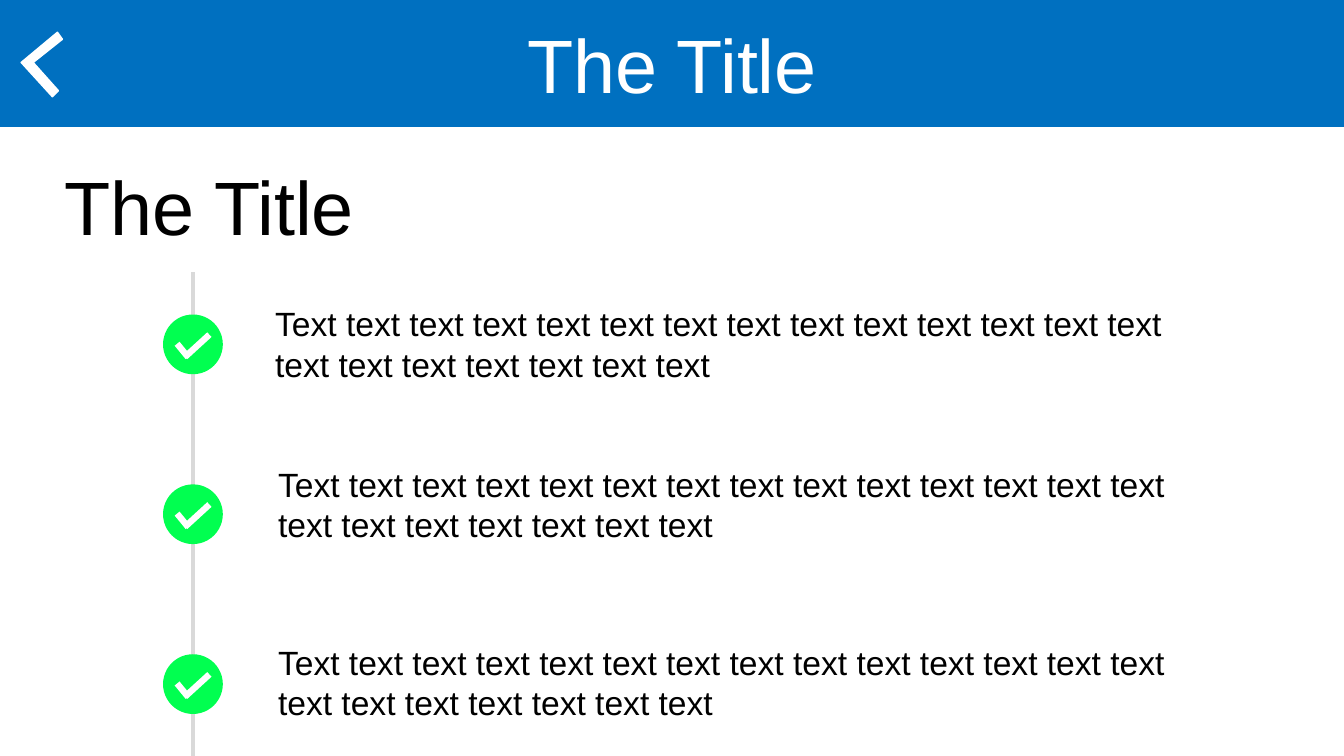
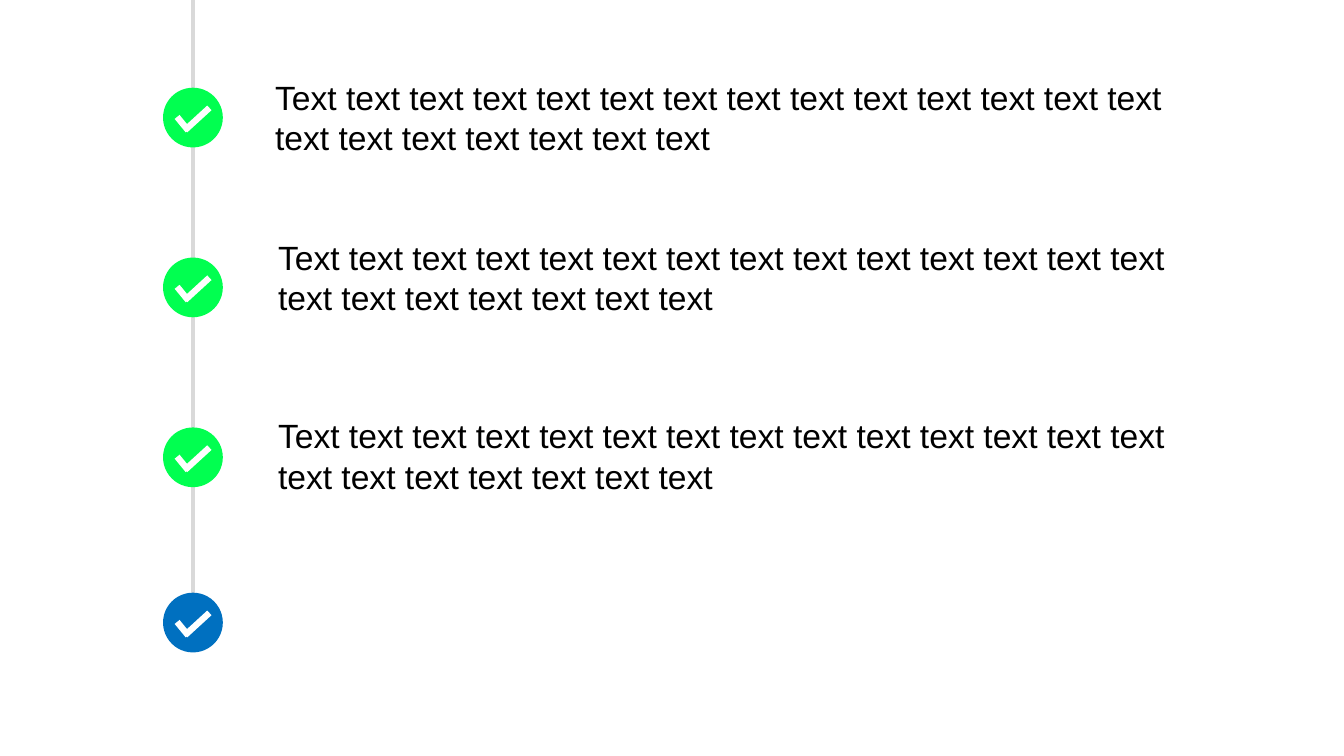
from pptx import Presentation, util as u
from pptx.dml.color import RGBColor
from pptx.enum import shapes, text
from pptx.oxml.ns import qn
from lxml import etree

BLUE, GREEN, GREY, WHITE, BLACK = "0070C0", "01FF50", "D9D9D9", "FFFFFF", "000000"
FONT = "Arial"
STEP_TEXT = " ".join(["Text"] + ["text"] * 20)

prs = Presentation()
prs.slide_width, prs.slide_height = u.Emu(12192000), u.Emu(6858000)
COL, ROW = prs.slide_width // 100, prs.slide_height // 100

# Timeline, in columns and rows (hundredths of the slide)
DISC_LEFT, DISC_W, DISC_H = 12.13, 4.45, 7.9
SPINE = DISC_LEFT + DISC_W / 2
PITCH = 22.47
TICK = [(1.65, 5.6, 3.45, 2.67), (1.87, 5.65, 1.05, 3.87)]
STEP_TEXTS = [(19.73, -2.13), (19.95, 19.07), (19.95, 42.67)]


def rgb(value):
    return RGBColor.from_string(value)


def grid(*lengths):
    """Turn alternating columns and rows into EMU."""
    return [u.Emu(round(n * (ROW if i % 2 else COL))) for i, n in enumerate(lengths)]


def add_line(slide, ends, color, width):
    ln = slide.shapes.add_connector(shapes.MSO_CONNECTOR.STRAIGHT, *grid(*ends))
    ln.line.color.rgb = rgb(color)
    ln.line.width = u.Pt(width)
    etree.SubElement(ln._element.spPr, qn("a:effectLst"))


# Slide, spine top and bottom, top of the first disc, extra discs
first = prs.slides.add_slide(prs.slide_layouts[5])
second = prs.slides.add_slide(prs.slide_layouts[6])
timelines = [(first, 36, 100, 41.6, []), (second, 0, 84.13, 11.6, [(78.4, BLUE)])]

# Header band, title, back arrow and heading
band = first.shapes.add_shape(shapes.MSO_SHAPE.RECTANGLE, *grid(0, 0, 100, 16.8))
title = first.shapes.title
band._element.addnext(title._element)

pen = first.shapes.build_freeform(57, 32, scale=u.Inches(0.01))
pen.add_line_segments([(62, 39), (33, 62), (58, 90), (52, 96), (21, 62)])
arrow = pen.convert_to_shape()

for sp, fill in [(band, BLUE), (arrow, WHITE)]:
    sp.fill.solid()
    sp.fill.fore_color.rgb = rgb(fill)
    sp.shadow.inherit = False
band.line.fill.background()
arrow.line.color.rgb = rgb(WHITE)
arrow.line.width = u.Pt(1)

title.left, title.top, title.width, title.height = grid(27, 1.73, 46, 13.47)
heading = first.shapes.add_textbox(*grid(0, 20.53, 31.12, 13.47))
labels = [(title, "The Title", 54, WHITE, text.PP_ALIGN.CENTER),
          (heading, "The Title", 54, BLACK, text.PP_ALIGN.CENTER)]

# Timelines
for slide, spine_top, spine_end, start, extra in timelines:
    add_line(slide, (SPINE, spine_top, SPINE, spine_end), GREY, 3)
    for top, color in [(start + i * PITCH, GREEN) for i in range(3)] + extra:
        disc = slide.shapes.add_shape(shapes.MSO_SHAPE.OVAL,
                                      *grid(DISC_LEFT, top, DISC_W, DISC_H))
        disc.fill.solid()
        disc.fill.fore_color.rgb = rgb(color)
        disc.line.fill.background()
        disc.shadow.inherit = False
        for x1, y1, x2, y2 in TICK:
            ends = (DISC_LEFT + x1, top + y1, DISC_LEFT + x2, top + y2)
            add_line(slide, ends, WHITE, 4.5)
    for left, offset in STEP_TEXTS:
        box = slide.shapes.add_textbox(*grid(left, start + offset, 72.15, 12.13))
        labels.append((box, STEP_TEXT, 24, BLACK, text.PP_ALIGN.LEFT))

# All text
for sp, words, size, color, align in labels:
    tf = sp.text_frame
    tf.text = words
    tf.word_wrap = True
    tf.auto_size = text.MSO_AUTO_SIZE.NONE
    tf.vertical_anchor = text.MSO_ANCHOR.TOP
    p = tf.paragraphs[0]
    p.alignment = align
    r = p.runs[0]
    r.font.name, r.font.size = FONT, u.Pt(size)
    r.font.color.rgb = rgb(color)

prs.save("out.pptx")
